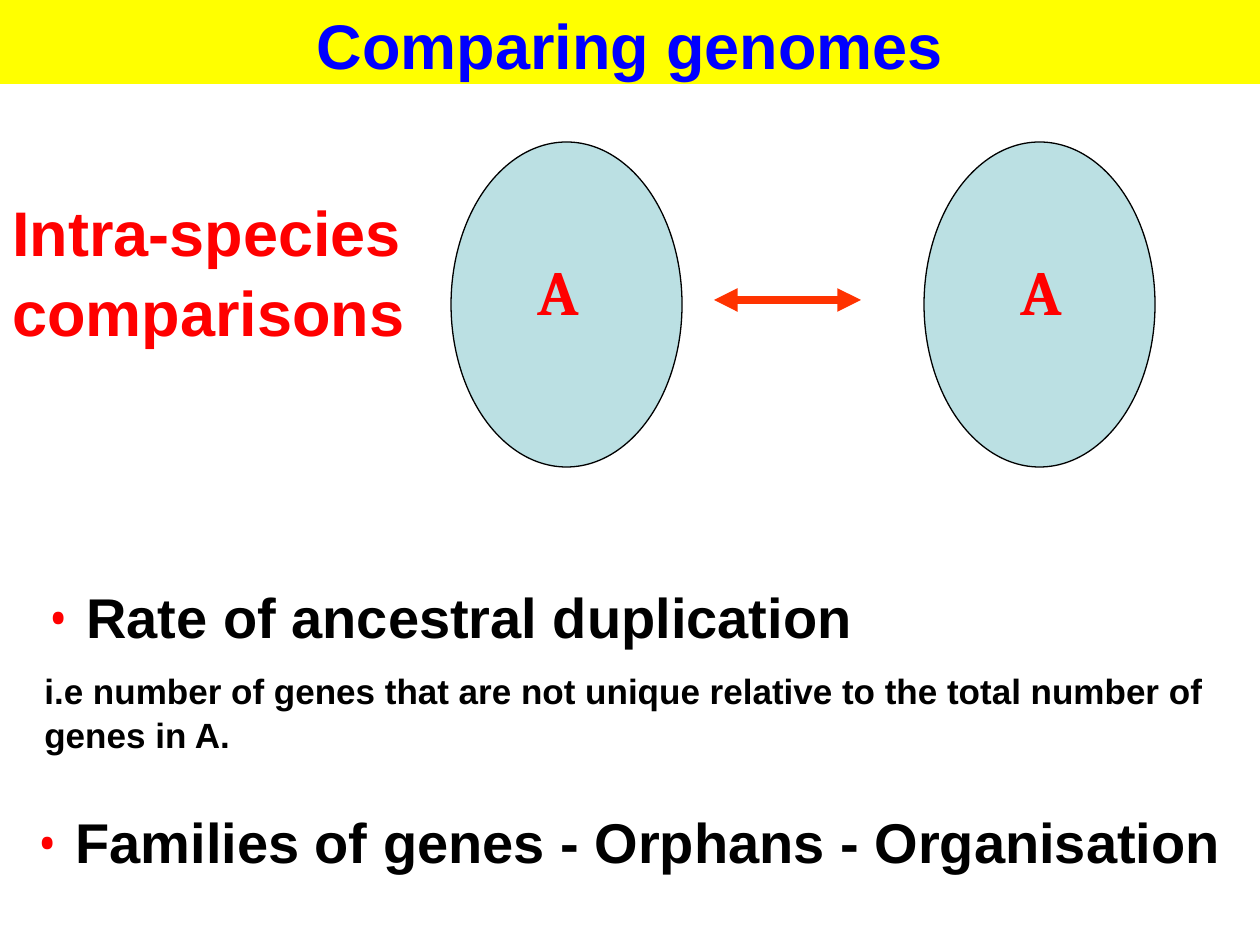
from lxml import etree
from pptx import Presentation
from pptx.dml.color import RGBColor
from pptx.enum.shapes import MSO_CONNECTOR, MSO_SHAPE
from pptx.enum.text import MSO_ANCHOR, PP_ALIGN
from pptx.oxml.ns import qn
from pptx.util import Pt

LINE = MSO_CONNECTOR.STRAIGHT
OVAL = MSO_SHAPE.OVAL
TOP = MSO_ANCHOR.TOP
LEFT, MID = PP_ALIGN.LEFT, PP_ALIGN.CENTER
PX = 914400 / 126
HEX = {"band": "FFFF00", "title": "0000FF", "red": "FF0000", "arrow": "FF3300",
       "oval": "BBE0E3", "ink": "000000"}
HUE = {name: RGBColor.from_string(code) for name, code in HEX.items()}


def px(*nums):
    return [round(num * PX) for num in nums]


def write(para, text, size, hue, font="Arial", align=LEFT, bullet=False):
    if bullet:
        props = para._p.get_or_add_pPr()
        props.set("marL", str(px(42)[0]))
        props.set("indent", str(px(-42)[0]))
        color = etree.SubElement(props, qn("a:buClr"))
        etree.SubElement(color, qn("a:srgbClr"), val=HEX["red"])
        etree.SubElement(props, qn("a:buSzPct"), val="112000")
        etree.SubElement(props, qn("a:buFont"), typeface="Cambria")
        etree.SubElement(props, qn("a:buChar"), char="•")
    para.alignment = align
    para.line_spacing = 1.05
    run = para.add_run()
    run.text = text
    run.font.name = font
    run.font.size = Pt(size)
    run.font.bold = True
    run.font.color.rgb = HUE[hue]


deck = Presentation()
deck.slide_width, deck.slide_height = px(1260, 945)
slide = deck.slides.add_slide(deck.slide_layouts[5])
shapes = slide.shapes

title = shapes.title
title.left, title.top, title.width, title.height = px(0, -4, 1260, 88)
title.fill.solid()
title.fill.fore_color.rgb = HUE["band"]
title.text_frame.vertical_anchor = TOP
write(title.text_frame.paragraphs[0], "Comparing genomes", 36, "title", align=MID)

arrow = shapes.add_connector(LINE, *px(714, 300, 861, 300))
arrow.line.color.rgb = HUE["arrow"]
arrow.line.width = Pt(4.5)
stroke = arrow.line._get_or_add_ln()
for end in ("a:headEnd", "a:tailEnd"):
    etree.SubElement(stroke, qn(end), type="triangle")
etree.SubElement(arrow._element.spPr, qn("a:effectLst"))

for left, mark in ((451, 525), (924, 1008)):
    group = shapes.add_group_shape()
    oval = group.shapes.add_shape(OVAL, *px(left, 142, 231, 325))
    oval.shadow.inherit = False
    oval.fill.solid()
    oval.fill.fore_color.rgb = HUE["oval"]
    oval.line.color.rgb = HUE["ink"]
    oval.line.width = Pt(0.75)
    label = group.shapes.add_textbox(*px(mark, 243, 73, 88))
    label.text_frame.word_wrap = True
    write(label.text_frame.paragraphs[0], "A", 36, "red", "Cambria")

texts = [
    ((0, 184, 462, 164), [("Intra-species comparisons", 36, "red", False)]),
    ((32, 573, 1197, 193), [
        ("Rate of ancestral duplication", 32, "ink", True),
        ("i.e number of genes that are not unique relative to the total number of genes in A.",
         20, "ink", False)]),
    ((21, 798, 1218, 88), [("Families of genes - Orphans - Organisation", 32, "ink", True)]),
]
for place, lines in texts:
    frame = shapes.add_textbox(*px(*place)).text_frame
    frame.word_wrap = True
    for row, (text, size, hue, bullet) in enumerate(lines):
        para = frame.add_paragraph() if row else frame.paragraphs[0]
        write(para, text, size, hue, bullet=bullet)
        if row:
            para.space_before = Pt(size / 2)

deck.save("out.pptx")
